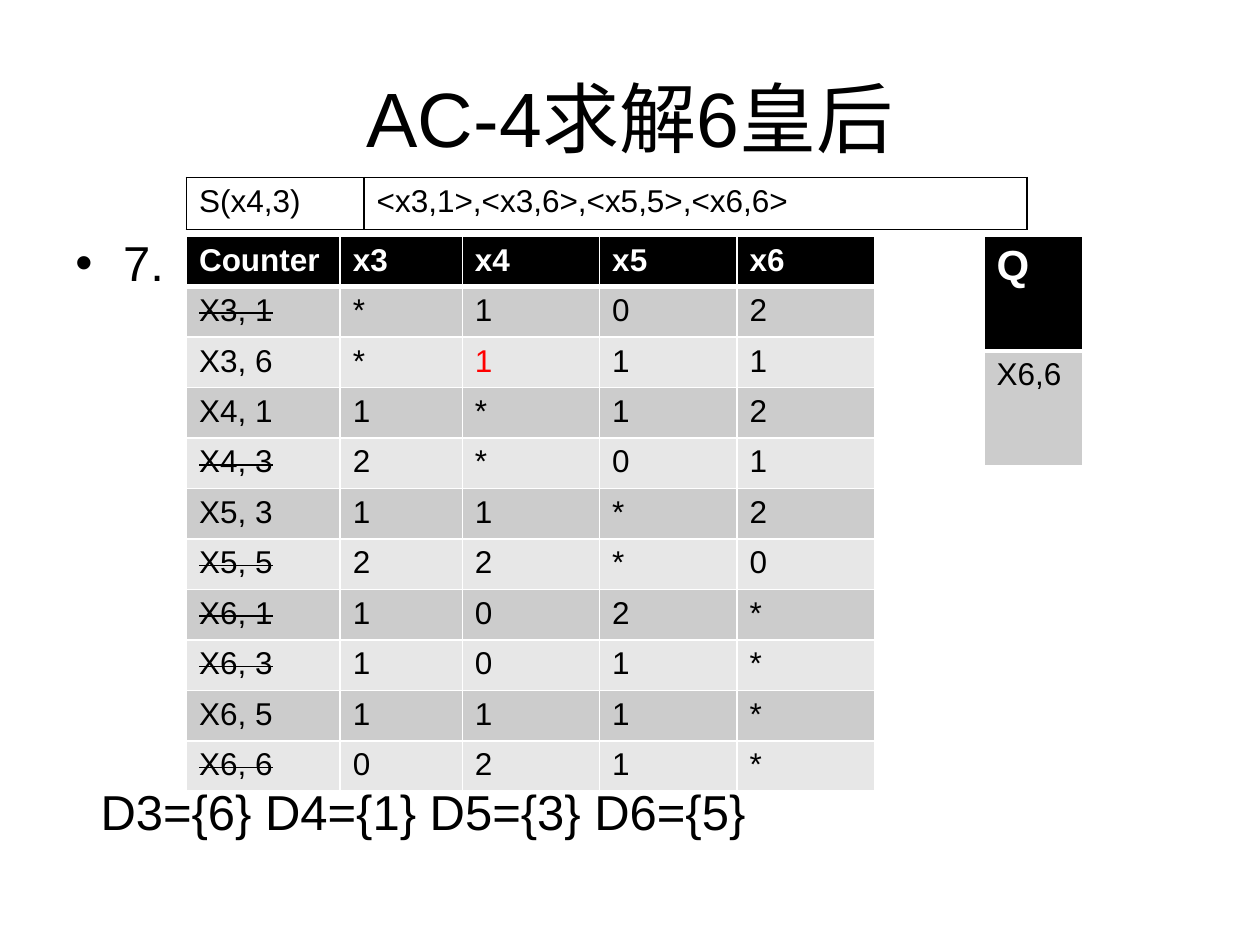
"""Build the slide on solving six queens with AC-4: support set, counters and queue."""
from dataclasses import dataclass

from lxml import etree
from pptx import Presentation
from pptx import util as u
from pptx.dml.color import RGBColor
from pptx.enum import text
from pptx.oxml.ns import qn

WIDTH, HEIGHT = u.Inches(10), u.Inches(7.5)
FONT = "Arial"
BLACK, WHITE, RED = "000000", "FFFFFF", "FF0000"
BANDS = ("CCCCCC", "E7E7E7")
REMOVED = {"X3, 1", "X4, 3", "X5, 5", "X6, 1", "X6, 3", "X6, 6"}
CHANGED = (2, 2)


@dataclass(frozen=True)
class Grid:
    """A table whose lengths are shares of the slide's width and height."""

    left: float
    top: float
    columns: tuple[float, ...]
    row: float
    rows: tuple[tuple[str, ...], ...]
    header_size: int = 18
    has_header: bool = True
    border: str = WHITE
    changed: tuple[int, int] | None = None


@dataclass(frozen=True)
class Note:
    """A line of body text whose place is in shares of the slide."""

    left: float
    top: float
    width: float
    words: str
    bullet: bool = False


COUNTERS = Grid(
    0.148, 0.25, (0.122, 0.097, 0.109, 0.109, 0.109), 0.0508,
    (
        ("Counter", "x3", "x4", "x5", "x6"),
        ("X3, 1", "*", "1", "0", "2"),
        ("X3, 6", "*", "1", "1", "1"),
        ("X4, 1", "1", "*", "1", "2"),
        ("X4, 3", "2", "*", "0", "1"),
        ("X5, 3", "1", "1", "*", "2"),
        ("X5, 5", "2", "2", "*", "0"),
        ("X6, 1", "1", "0", "2", "*"),
        ("X6, 3", "1", "0", "1", "*"),
        ("X6, 5", "1", "1", "1", "*"),
        ("X6, 6", "0", "2", "1", "*"),
    ),
    changed=CHANGED,
)
QUEUE = Grid(0.781, 0.25, (0.078,), 0.1213, (("Q",), ("X6,6",)), header_size=24)
SUPPORT = Grid(
    0.148, 0.188, (0.141, 0.526), 0.0547,
    (("S(x4,3)", "<x3,1>,<x3,6>,<x5,5>,<x6,6>"),),
    has_header=False, border=BLACK,
)
NOTES = (
    Note(0.05, 0.24, 0.1, "7.", bullet=True),
    Note(0.07, 0.82, 0.88, "D3={6} D4={1} D5={3} D6={5}"),
)


def color(value: str) -> RGBColor:
    """Turn a hex string into a colour."""
    return RGBColor.from_string(value)


def across(share: float) -> int:
    """Return a share of the slide's width."""
    return round(WIDTH * share)


def down(share: float) -> int:
    """Return a share of the slide's height."""
    return round(HEIGHT * share)


def add_run(paragraph, words: str, size: int, ink: str = BLACK, bold: bool = False):
    """Add one formatted run to a paragraph and return it."""
    run = paragraph.add_run()
    run.text = words
    run.font.name, run.font.size, run.font.bold = FONT, u.Pt(size), bold
    run.font.color.rgb = color(ink)
    return run


def set_borders(cell, ink: str, top: int, bottom: int) -> None:
    """Draw the four sides of a cell, with widths in points for top and bottom."""
    properties = cell._tc.get_or_add_tcPr()
    sides = (("a:lnL", 1), ("a:lnR", 1), ("a:lnT", top), ("a:lnB", bottom))
    for place, (side, points) in enumerate(sides):
        line = etree.Element(qn(side), w=str(u.Pt(points)))
        fill = etree.SubElement(line, qn("a:solidFill"))
        etree.SubElement(fill, qn("a:srgbClr"), val=ink)
        properties.insert(place, line)


def fill_cell(cell, grid: Grid, row: int, column: int) -> None:
    """Write and colour one cell of a grid."""
    header = grid.has_header and row == 0
    if header:
        ink, shade = WHITE, BLACK
    else:
        ink = RED if (row, column) == grid.changed else BLACK
        shade = BANDS[(row - 1) % 2] if grid.has_header else None
    if shade:
        cell.fill.solid()
        cell.fill.fore_color.rgb = color(shade)
    else:
        cell.fill.background()
    set_borders(
        cell, grid.border,
        top=3 if grid.has_header and row == 1 else 1,
        bottom=3 if header else 1,
    )
    words = grid.rows[row][column]
    size = grid.header_size if header else 18
    run = add_run(cell.text_frame.paragraphs[0], words, size, ink, header)
    if words in REMOVED:
        run.font._element.set("strike", "sngStrike")


def add_grid(slide, grid: Grid) -> None:
    """Add a table with its sizes, cells and borders."""
    table = slide.shapes.add_table(
        len(grid.rows), len(grid.columns), across(grid.left), down(grid.top),
        across(sum(grid.columns)), down(grid.row * len(grid.rows)),
    ).table
    table.first_row, table.horz_banding = grid.has_header, False
    for column, share in zip(table.columns, grid.columns):
        column.width = across(share)
    for row, line in enumerate(table.rows):
        line.height = down(grid.row)
        for column, cell in enumerate(line.cells):
            fill_cell(cell, grid, row, column)


def add_note(slide, note: Note) -> None:
    """Add a line of body text, with a hanging bullet if wanted."""
    frame = slide.shapes.add_textbox(
        across(note.left), down(note.top), across(note.width), down(0.07)
    ).text_frame
    frame.word_wrap = True
    paragraph = frame.paragraphs[0]
    if note.bullet:
        properties = paragraph._p.get_or_add_pPr()
        indent = u.Inches(0.38)
        properties.set("marL", str(indent))
        properties.set("indent", str(-indent))
        etree.SubElement(properties, qn("a:buFont"), typeface=FONT)
        etree.SubElement(properties, qn("a:buChar"), char="•")
    add_run(paragraph, note.words, 28)


def add_title(slide, words: str) -> None:
    """Place and format the title placeholder."""
    title = slide.shapes.title
    title.left, title.top = across(0.05), down(0.04)
    title.width, title.height = across(0.9), down(1 / 6)
    title.text_frame.vertical_anchor = text.MSO_ANCHOR.MIDDLE
    paragraph = title.text_frame.paragraphs[0]
    paragraph.alignment = text.PP_ALIGN.CENTER
    add_run(paragraph, words, 44)


def main() -> None:
    """Build and save the slide."""
    deck = Presentation()
    deck.slide_width, deck.slide_height = WIDTH, HEIGHT
    slide = deck.slides.add_slide(deck.slide_layouts[5])
    add_title(slide, "AC-4求解6皇后")
    for note in NOTES:
        add_note(slide, note)
    for grid in (COUNTERS, QUEUE, SUPPORT):
        add_grid(slide, grid)
    deck.save("out.pptx")


if __name__ == "__main__":
    main()
